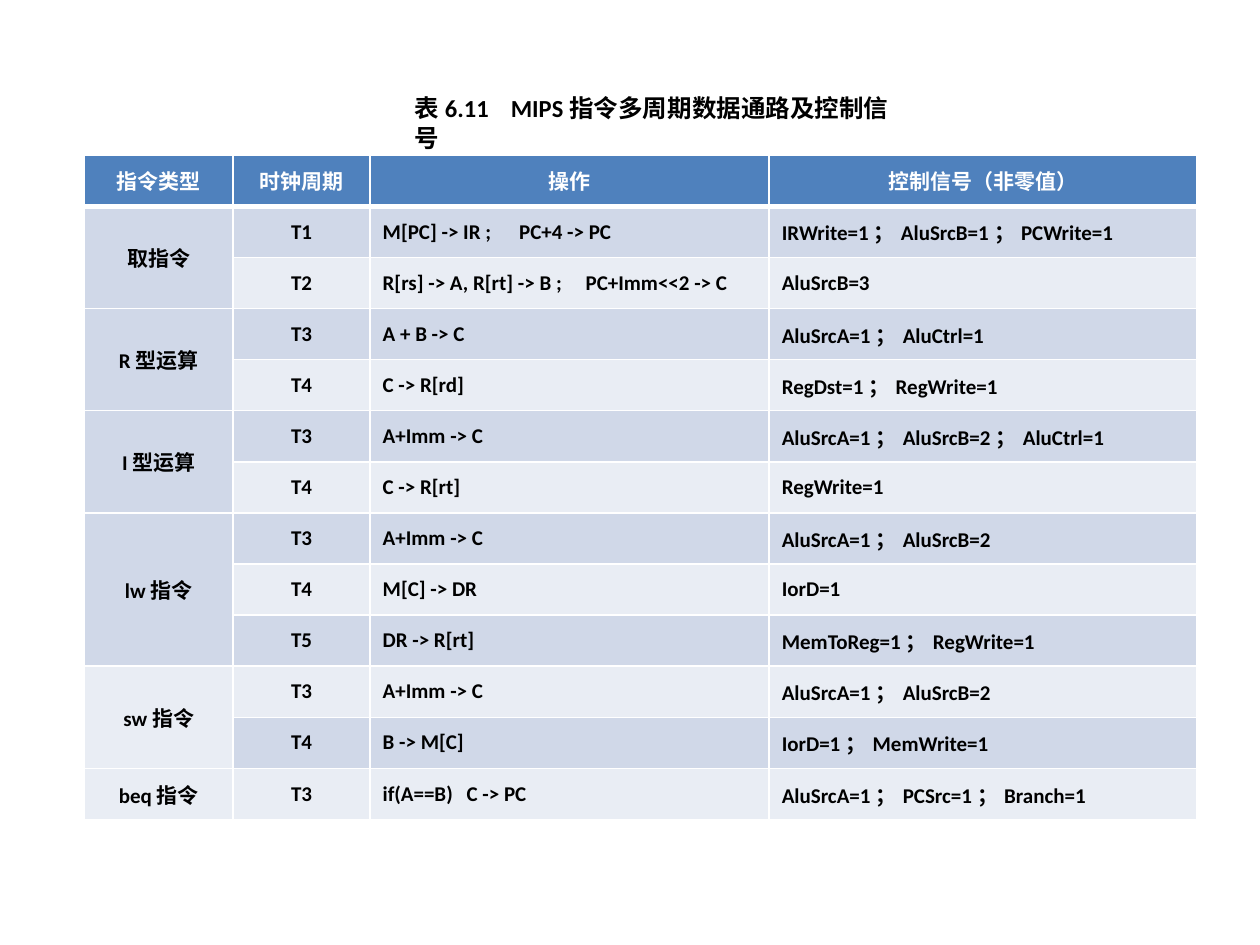
from dataclasses import dataclass

from pptx import Presentation
from pptx.dml.color import RGBColor
from pptx.enum.text import MSO_ANCHOR, MSO_AUTO_SIZE, PP_ALIGN
from pptx.oxml.ns import qn
from pptx.util import Pt
from lxml import etree

LEFT, CENTER = PP_ALIGN.LEFT, PP_ALIGN.CENTER
TOP, MIDDLE = MSO_ANCHOR.TOP, MSO_ANCHOR.MIDDLE
TITLE_ONLY = 5


@dataclass(frozen=True)
class Theme:
    font: str = "Calibri"
    title_size: float = 14
    cell_size: float = 12
    text: str = "000000"
    white: str = "FFFFFF"
    header: str = "4F81BD"
    bands: tuple[str, str] = ("E9EDF4", "D0D8E8")  # even rows, odd rows
    thin: float = 1
    thick: float = 3


@dataclass(frozen=True)
class Step:
    cycle: str
    operation: str
    signals: str
    tab: float | None = None  # tab stop inside the operation text


@dataclass(frozen=True)
class Instruction:
    name: str
    steps: tuple[Step, ...]


THEME = Theme()
TITLE = "表6.11\tMIPS指令多周期数据通路及控制信号"
HEADERS = ("指令类型", "时钟周期", "操作", "控制信号（非零值）")
COL_WIDTHS = (84.8, 78.3, 228.1, 244.4)
ROW_HEIGHT = 29.2
TABLE_LEFT, TABLE_TOP = 48.4, 88.7

INSTRUCTIONS = (
    Instruction("取指令", (
        Step("T1", "M[PC] -> IR ;\tPC+4 -> PC", "IRWrite=1；AluSrcB=1；PCWrite=1", 78),
        Step("T2", "R[rs] -> A, R[rt] -> B ;\tPC+Imm<<2 -> C", "AluSrcB=3", 116),
    )),
    Instruction("R型运算", (
        Step("T3", "A + B -> C", "AluSrcA=1；AluCtrl=1"),
        Step("T4", "C -> R[rd]", "RegDst=1；RegWrite=1"),
    )),
    Instruction("I型运算", (
        Step("T3", "A+Imm -> C", "AluSrcA=1；AluSrcB=2；AluCtrl=1"),
        Step("T4", "C -> R[rt]", "RegWrite=1"),
    )),
    Instruction("lw指令", (
        Step("T3", "A+Imm -> C", "AluSrcA=1；AluSrcB=2"),
        Step("T4", "M[C] -> DR", "IorD=1"),
        Step("T5", "DR -> R[rt]", "MemToReg=1；RegWrite=1"),
    )),
    Instruction("sw指令", (
        Step("T3", "A+Imm -> C", "AluSrcA=1；AluSrcB=2"),
        Step("T4", "B -> M[C]", "IorD=1；MemWrite=1"),
    )),
    Instruction("beq指令", (
        Step("T3", "if(A==B)\tC -> PC", "AluSrcA=1；PCSrc=1；Branch=1", 48),
    )),
)


def set_text(tf, text: str, *, size: float, color: str = THEME.text,
             align=LEFT, tab: float | None = None) -> None:
    """Write one bold paragraph, with an optional tab stop in points."""
    p = tf.paragraphs[0]
    p.alignment = align
    if tab is not None:
        tabs = etree.SubElement(p._p.get_or_add_pPr(), qn("a:tabLst"))
        etree.SubElement(tabs, qn("a:tab"), pos=str(Pt(tab)), algn="l")
    r = p.add_run()
    r.text = text
    r.font.name = THEME.font
    r.font.size = Pt(size)
    r.font.bold = True
    r.font.color.rgb = RGBColor.from_string(color)


def set_borders(cell, top: float, bottom: float) -> None:
    """Draw white borders; the line elements precede the cell's fill."""
    tc_pr = cell._tc.get_or_add_tcPr()
    widths = {"L": THEME.thin, "R": THEME.thin, "T": top, "B": bottom}
    for i, (side, width) in enumerate(widths.items()):
        ln = etree.Element(qn(f"a:ln{side}"), w=str(Pt(width)))
        fill = etree.SubElement(ln, qn("a:solidFill"))
        etree.SubElement(fill, qn("a:srgbClr"), val=THEME.white)
        tc_pr.insert(i, ln)


def style_cell(cell, row: int) -> None:
    cell.vertical_anchor = MIDDLE
    cell.fill.solid()
    color = THEME.bands[row % 2] if row else THEME.header
    cell.fill.fore_color.rgb = RGBColor.from_string(color)
    set_borders(cell, top=THEME.thick if row == 1 else THEME.thin,
                bottom=THEME.thin if row else THEME.thick)


def add_title(s) -> None:
    title = s.shapes.title
    title.left, title.top, title.width, title.height = Pt(229.7), Pt(49.7), Pt(295), Pt(24.5)
    tf = title.text_frame
    tf.word_wrap = True
    tf.auto_size = MSO_AUTO_SIZE.NONE
    tf.vertical_anchor = TOP
    set_text(tf, TITLE, size=THEME.title_size, tab=55)


def add_signal_table(s) -> None:
    n_rows = 1 + sum(len(i.steps) for i in INSTRUCTIONS)
    table = s.shapes.add_table(n_rows, len(HEADERS), Pt(TABLE_LEFT), Pt(TABLE_TOP),
                               Pt(sum(COL_WIDTHS)), Pt(n_rows * ROW_HEIGHT)).table
    for column, width in zip(table.columns, COL_WIDTHS):
        column.width = Pt(width)
    for i, row in enumerate(table.rows):
        row.height = Pt(ROW_HEIGHT)
        for cell in row.cells:
            style_cell(cell, i)

    # Header row
    for col, text in enumerate(HEADERS):
        set_text(table.cell(0, col).text_frame, text, size=THEME.cell_size,
                 color=THEME.white, align=CENTER)

    # One merged name cell per instruction, one row per clock cycle
    row = 1
    for instruction in INSTRUCTIONS:
        name = table.cell(row, 0)
        if len(instruction.steps) > 1:
            name.merge(table.cell(row + len(instruction.steps) - 1, 0))
        set_text(name.text_frame, instruction.name, size=THEME.cell_size, align=CENTER)
        for step in instruction.steps:
            cycle, operation, signals = (table.cell(row, c).text_frame for c in (1, 2, 3))
            set_text(cycle, step.cycle, size=THEME.cell_size, align=CENTER)
            set_text(operation, step.operation, size=THEME.cell_size, tab=step.tab)
            set_text(signals, step.signals, size=THEME.cell_size)
            row += 1


def main() -> None:
    prs = Presentation()
    prs.slide_width, prs.slide_height = Pt(720), Pt(540)
    s = prs.slides.add_slide(prs.slide_layouts[TITLE_ONLY])
    add_title(s)
    add_signal_table(s)
    prs.save("out.pptx")


if __name__ == "__main__":
    main()
